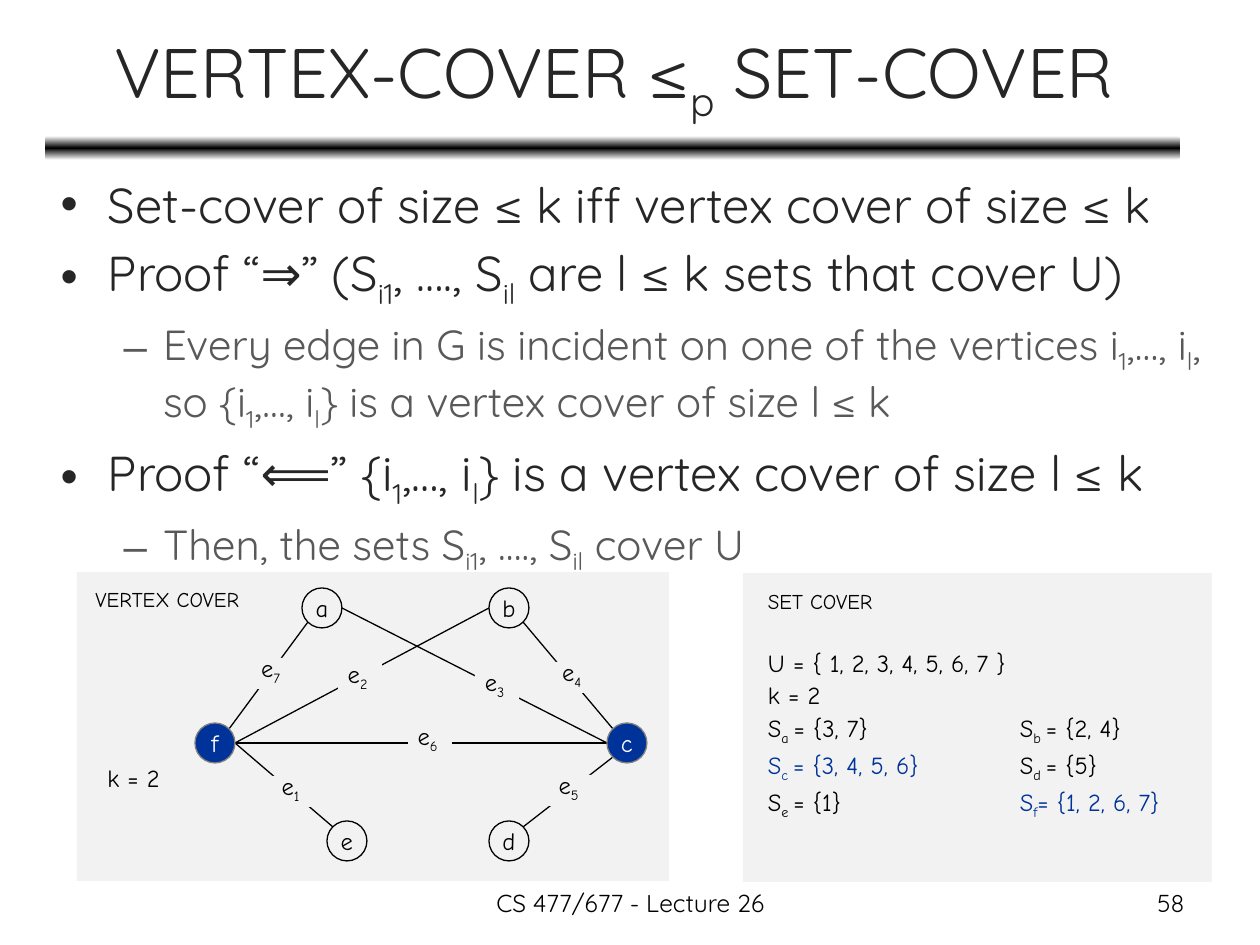
from copy import deepcopy
from math import cos, sin, radians

from pptx import Presentation
from pptx.dml.color import RGBColor
from pptx.enum.shapes import MSO_CONNECTOR as Line, MSO_SHAPE as Kind
from pptx.enum.text import MSO_ANCHOR as Anchor, MSO_AUTO_SIZE as Fit, PP_ALIGN as Align
from pptx.oxml.ns import qn
from pptx.util import Pt
from lxml.etree import SubElement

UNIT = 914400 / 126  # EMU in one px
BLACK = RGBColor(0, 0, 0)
WHITE = RGBColor(255, 255, 255)
DARK = RGBColor(0x26, 0x26, 0x26)
GREY = RGBColor(0x59, 0x59, 0x59)
EDGE = RGBColor(0x80, 0x80, 0x80)
PALE = RGBColor(0xF2, 0xF2, 0xF2)
BLUE = RGBColor(0, 0x33, 0x99)
SANS, COMIC = "Quicksand", "Comic Neue"
RAD = 20  # node radius


def px(*nums):
    return [round(n * UNIT) for n in nums]


class Page:
    def __init__(self, deck):
        self.slide = deck.slides.add_slide(deck.slide_layouts[1])
        self.shapes = self.slide.shapes

    def words(self, par, text, size, color=BLACK, font=COMIC):
        """Add text to a paragraph; every second part between bars is a subscript."""
        for i, part in enumerate(text.split("|")):
            if not part:
                continue
            run = par.add_run()
            run.text = part
            run.font.size, run.font.name = Pt(size), font
            run.font.color.rgb = color
            if i % 2:
                run.font._element.set("baseline", "-25000")

    def holder(self, shape, box):
        shape.left, shape.top, shape.width, shape.height = px(*box)
        frame = shape.text_frame
        frame.auto_size = Fit.NONE
        return frame

    def title(self, box, text):
        frame = self.holder(self.shapes.title, box)
        frame.vertical_anchor = Anchor.MIDDLE
        par = frame.paragraphs[0]
        par.alignment = Align.CENTER
        self.words(par, text, 40, DARK, SANS)

    def list(self, box, rows):
        frame = self.holder(self.slide.placeholders[1], box)
        for i, (level, text) in enumerate(rows):
            par = frame.add_paragraph() if i else frame.paragraphs[0]
            par.level = level
            if i == 0:
                par.space_before = Pt(0)
            size, color = ((28, DARK), (24, GREY))[level]
            self.words(par, text, size, color, SANS)

    def shape(self, kind, box, fill=PALE, line=None):
        item = self.shapes.add_shape(kind, *px(*box))
        item.shadow.inherit = False
        item.fill.solid()
        item.fill.fore_color.rgb = fill
        if line is None:
            item.line.fill.background()
        else:
            item.line.color.rgb = line
            item.line.width = Pt(0.75)
        return item

    def rule(self, box):
        bar = self.shape(Kind.ROUNDED_RECTANGLE, box)
        bar.fill.gradient()
        bar.fill.gradient_angle = 90
        first, last = bar.fill.gradient_stops
        first.color.rgb = last.color.rgb = WHITE
        first.position, last.position = 0, 1
        stops = bar._element.spPr.find(".//" + qn("a:gsLst"))
        stops.insert(1, deepcopy(stops[0]))
        mid = bar.fill.gradient_stops[1]
        mid.position, mid.color.rgb = 0.5, BLACK

    def mark(self, item, text, color=BLACK):
        """Put one centred line in a shape."""
        frame = item.text_frame
        frame.word_wrap = False
        frame.vertical_anchor = Anchor.MIDDLE
        par = frame.paragraphs[0]
        par.alignment = Align.CENTER
        self.words(par, text, 14, color)
        return frame

    def node(self, name, spot, chosen):
        x, y = spot
        fill, line, ink = (BLUE, EDGE, WHITE) if chosen else (PALE, BLACK, BLACK)
        box = (x - RAD, y - RAD, 2 * RAD, 2 * RAD)
        self.mark(self.shape(Kind.OVAL, box, fill, line), name, ink)

    def link(self, start, end):
        item = self.shapes.add_connector(Line.STRAIGHT, *px(*start, *end))
        item.line.color.rgb = BLACK
        item.line.width = Pt(0.75)
        SubElement(item._element.spPr, qn("a:effectLst"))

    def label(self, text, spot):
        frame = self.mark(self.shape(Kind.RECTANGLE, (*spot, 44, 31)), text)
        frame.margin_top, frame.margin_bottom = px(6, 13)

    def note(self, box, text, size=14, font=COMIC, align=Align.LEFT):
        frame = self.shapes.add_textbox(*px(*box)).text_frame
        frame.word_wrap = True
        par = frame.paragraphs[0]
        par.alignment = align
        self.words(par, text, size, BLACK, font)

    def panel(self, box, rows):
        """Rows of (size, space before, parts); the second column is a tab stop."""
        frame = self.shape(Kind.RECTANGLE, box).text_frame
        frame.word_wrap = True
        frame.vertical_anchor = Anchor.TOP
        (frame.margin_left, frame.margin_top,
         frame.margin_right, frame.margin_bottom) = px(25, 13, 13, 13)
        for i, (size, gap, parts) in enumerate(rows):
            par = frame.add_paragraph() if i else frame.paragraphs[0]
            par.alignment = Align.LEFT
            par.line_spacing = 1.1
            par.space_before = Pt(gap)
            tabs = SubElement(par._p.get_or_add_pPr(), qn("a:tabLst"))
            SubElement(tabs, qn("a:tab"), pos=str(px(252)[0]), algn="l")
            for text, color in parts:
                self.words(par, text, size, color)


def rim(spot, turn):
    """Point on a node's edge, in degrees clockwise from the right."""
    x, y = spot
    return round(x + RAD * cos(radians(turn))), round(y + RAD * sin(radians(turn)))


def main():
    deck = Presentation()
    deck.slide_width, deck.slide_height = px(1260, 945)
    page = Page(deck)

    # Heading and list
    page.rule((45, 136, 1135, 24))
    page.title((47, 14, 1134, 125), "VERTEX-COVER ≤|p| SET-COVER")
    page.list((48, 168, 1179, 699), [
        (0, "Set-cover of size ≤ k iff vertex cover of size ≤ k"),
        (0, "Proof “⇒” (S|i1|, …., S|il| are l ≤ k sets that cover U)"),
        (1, "Every edge in G is incident on one of the vertices i|1|,…, i|l|, "
            "so {i|1|,…, i|l|} is a vertex cover of size l ≤ k"),
        (0, "Proof “⟸” {i|1|,…, i|l|} is a vertex cover of size l ≤ k"),
        (1, "Then, the sets S|i1|, …., S|il| cover U"),
    ])

    # Set cover panel
    page.panel((743, 573, 469, 309), [
        (12, 0, [("SET COVER", BLACK)]),
        (14, 18, [("U = { 1, 2, 3, 4, 5, 6, 7 }", BLACK)]),
        (14, 0, [("k = 2", BLACK)]),
        (14, 0, [("S|a |= {3, 7}\tS|b |= {2, 4}", BLACK)]),
        (14, 0, [("S|c |= {3, 4, 5, 6}", BLUE), ("\tS|d |= {5}", BLACK)]),
        (14, 0, [("S|e |= {1}\t", BLACK), ("S|f|= {1, 2, 6, 7}", BLUE)]),
    ])

    # Vertex cover graph
    page.shape(Kind.RECTANGLE, (77, 572, 592, 309))
    nodes = {"a": (322, 608), "b": (509, 608), "c": (627, 743),
             "d": (509, 841), "e": (347, 841), "f": (215, 743)}
    edges = [  # start, its angle, end, its angle, label corner
        ("f", 0, "e", 225, (271, 776)),
        ("f", 0, "b", 180, (338, 664)),
        ("a", 0, "c", 180, (475, 672)),
        ("b", 45, "c", 225, (552, 662)),
        ("c", 135, "d", 315, (549, 775)),
        ("f", 0, "c", 180, (408, 726)),
        ("f", 315, "a", 135, (251, 658)),
    ]
    for start, out, end, into, _ in edges:
        page.link(rim(nodes[start], out), rim(nodes[end], into))
    for name, spot in nodes.items():
        page.node(name, spot, name in "cf")
    for i, edge in enumerate(edges, 1):
        page.label(f"e|{i} |", edge[-1])
    page.note((83, 580, 231, 43), "VERTEX COVER", 12)
    page.note((95, 757, 168, 47), "k = 2")

    # Footer
    page.note((903, 882, 294, 44), "58", 14, SANS, Align.RIGHT)
    page.note((431, 882, 399, 44), "CS 477/677 - Lecture 26", 14, SANS, Align.CENTER)

    deck.save("out.pptx")


if __name__ == "__main__":
    main()
